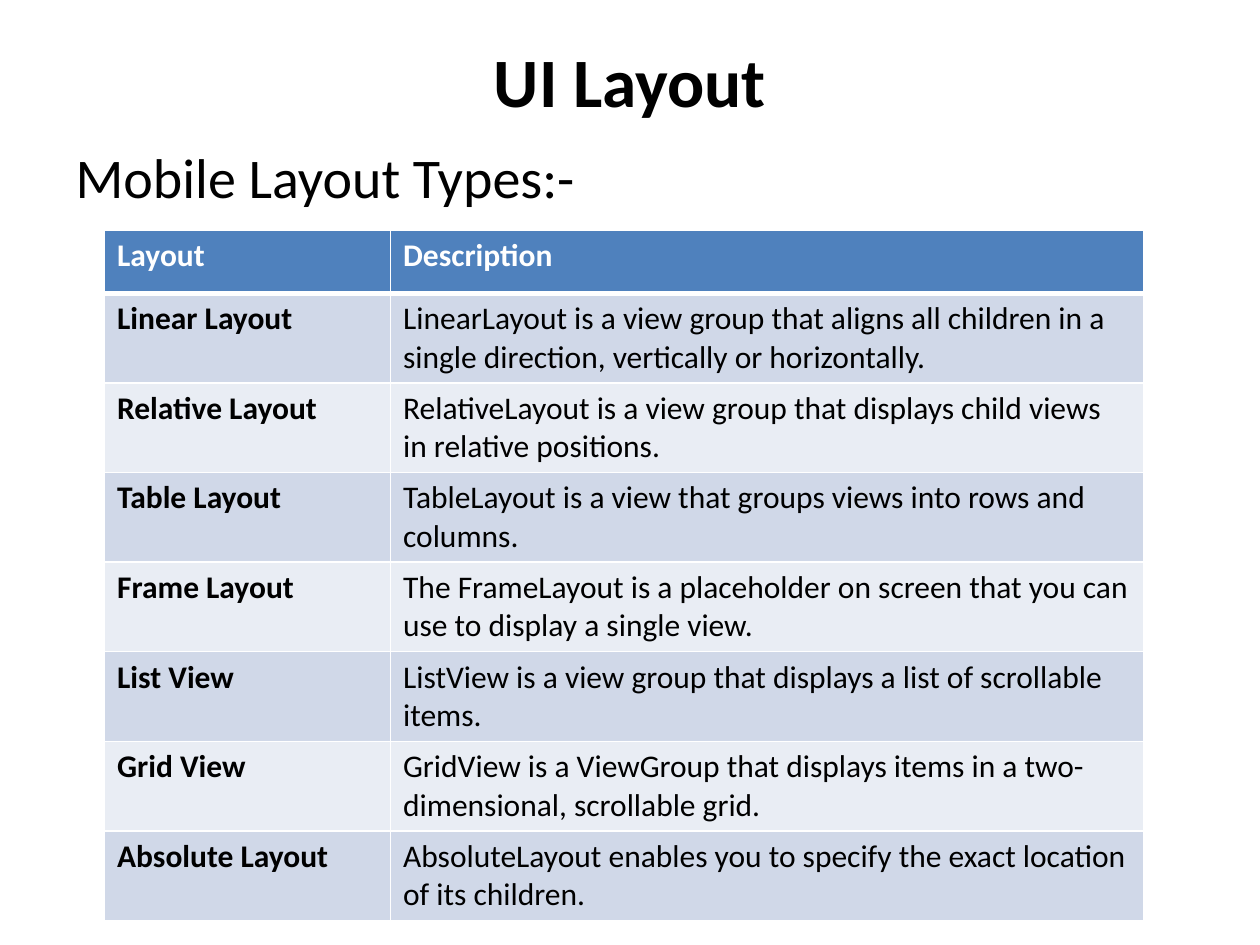
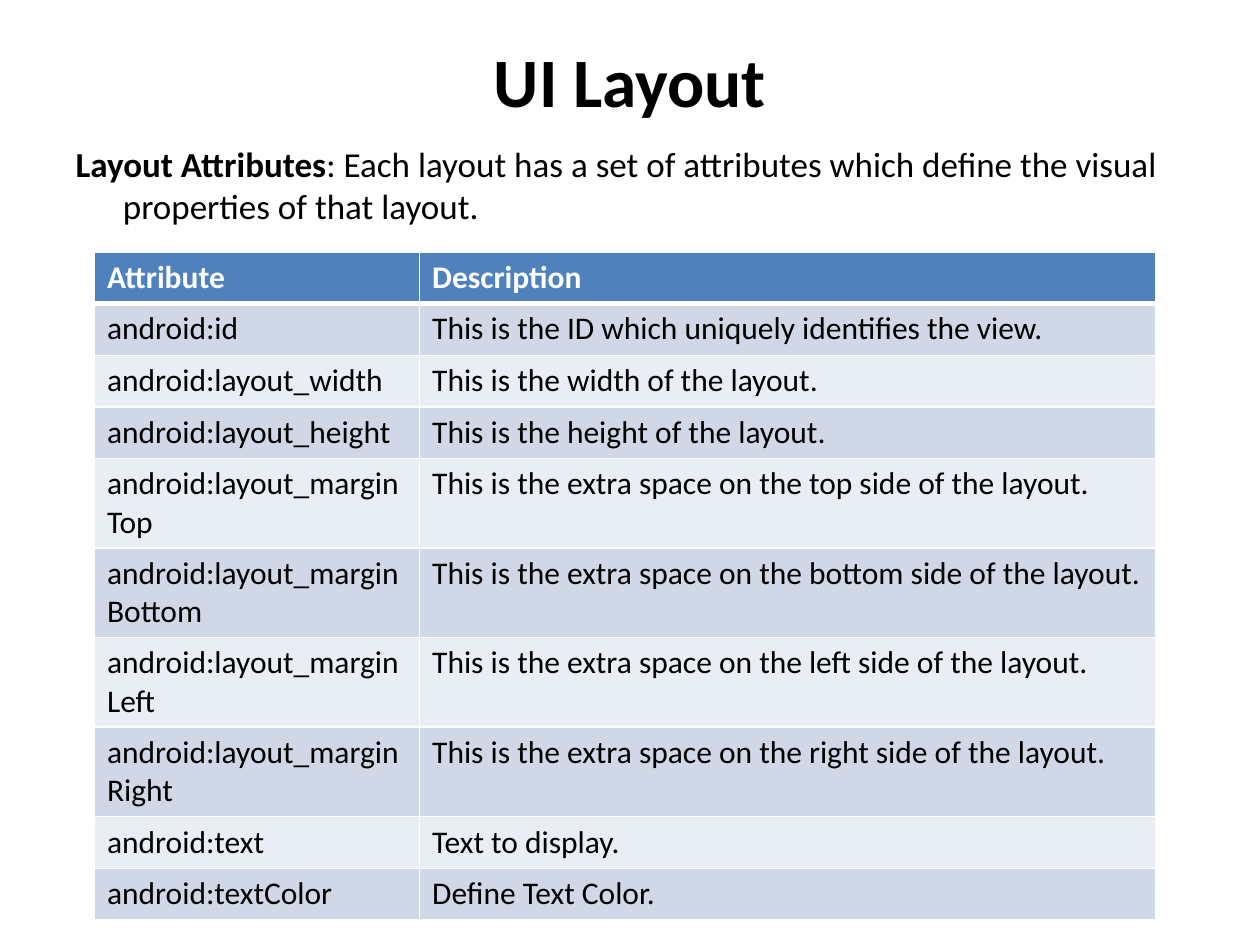
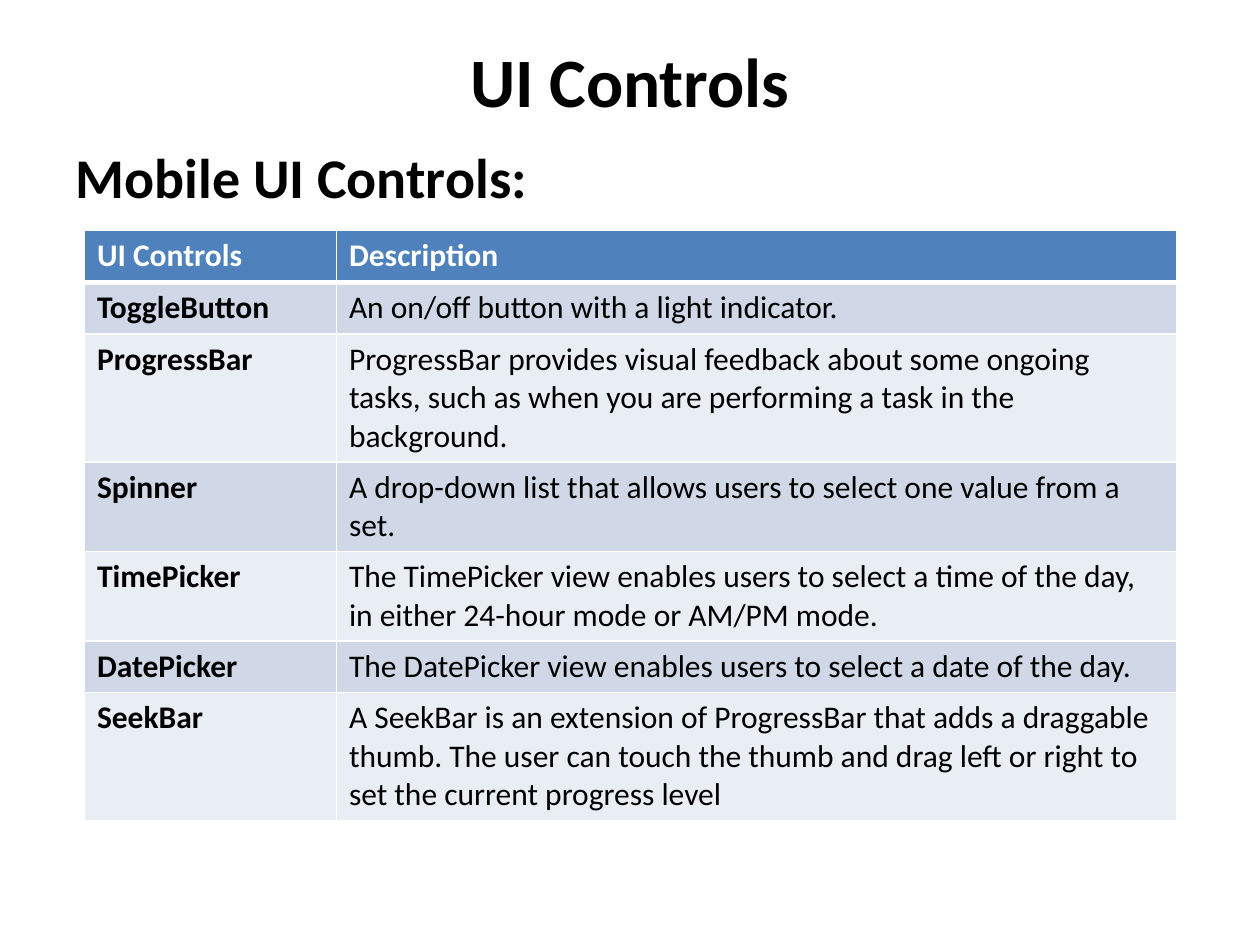
from dataclasses import dataclass

from lxml import etree
from pptx import Presentation
from pptx.dml.color import RGBColor
from pptx.enum.text import MSO_ANCHOR, MSO_AUTO_SIZE, PP_ALIGN
from pptx.oxml.ns import qn
from pptx.util import Inches, Pt


@dataclass(frozen=True)
class Theme:
    font: str = "Calibri"
    text: str = "000000"
    white: str = "FFFFFF"
    header: str = "4F81BD"
    bands: tuple = ("D0D8E8", "E9EDF4")
    title_size: float = 39.6
    heading_size: float = 32
    intro_size: float = 20
    cell_size: float = 18
    rule: float = 1
    header_rule: float = 3


THEME = Theme()


def place(shape, box):
    shape.left, shape.top, shape.width, shape.height = (Inches(v) for v in box)


def add_run(paragraph, text, size, color=THEME.text, bold=False):
    run = paragraph.add_run()
    run.text = text
    run.font.name = THEME.font
    run.font.size = Pt(size)
    run.font.bold = bold
    run.font.color.rgb = RGBColor.from_string(color)


def set_borders(cell, bottom):
    """White rules on all four sides; they must precede the cell's fill."""
    props = cell._tc.get_or_add_tcPr()
    widths = {"lnL": THEME.rule, "lnR": THEME.rule, "lnT": THEME.rule, "lnB": bottom}
    for side, width in widths.items():
        line = etree.SubElement(props, qn(f"a:{side}"), w=str(Pt(width)))
        fill = etree.SubElement(line, qn("a:solidFill"))
        etree.SubElement(fill, qn("a:srgbClr"), val=THEME.white)


def fill_title(slide, box, text):
    title = slide.shapes.title
    place(title, box)
    frame = title.text_frame
    frame.auto_size = MSO_AUTO_SIZE.NONE
    frame.vertical_anchor = MSO_ANCHOR.TOP
    frame.margin_top = 0
    paragraph = frame.paragraphs[0]
    paragraph.alignment = PP_ALIGN.CENTER
    add_run(paragraph, text, THEME.title_size, bold=True)


def fill_heading(slide, box, runs, size):
    """Lead-in above the table: runs of (text, bold) with a hanging indent."""
    body = slide.placeholders[1]
    place(body, box)
    body.text_frame.auto_size = MSO_AUTO_SIZE.NONE
    paragraph = body.text_frame.paragraphs[0]
    etree.SubElement(paragraph._p.get_or_add_pPr(), qn("a:buNone"))
    for text, bold in runs:
        add_run(paragraph, text, size, bold=bold)


def add_description_table(slide, box, name_width, row_heights, rows, bold_names):
    """Two columns, a name and its description, under a header row."""
    table = slide.shapes.add_table(len(rows), 2, *(Inches(v) for v in box)).table
    for column, width in zip(table.columns, (name_width, box[2] - name_width)):
        column.width = Inches(width)
    for r, (row, height) in enumerate(zip(rows, row_heights)):
        table.rows[r].height = Inches(height)
        is_header = r == 0
        fill = THEME.header if is_header else THEME.bands[(r - 1) % 2]
        color = THEME.white if is_header else THEME.text
        for c, text in enumerate(row):
            cell = table.cell(r, c)
            set_borders(cell, THEME.header_rule if is_header else THEME.rule)
            cell.fill.solid()
            cell.fill.fore_color.rgb = RGBColor.from_string(fill)
            bold = is_header or (bold_names and c == 0)
            add_run(cell.text_frame.paragraphs[0], text, THEME.cell_size, color, bold)


def add_table_slide(prs, title, heading, heading_size, table_box, name_width,
                    rows, row_heights=None, bold_names=True, body_height=5.62):
    slide = prs.slides.add_slide(prs.slide_layouts[1])
    fill_title(slide, (0.5, 0.3, 9, 1.25), title)
    fill_heading(slide, (0.5, 1.08, 9, body_height), heading, heading_size)
    add_description_table(slide, table_box, name_width,
                          row_heights or [0.41] * len(rows), rows, bold_names)


LAYOUT_TYPES = [
    ("Layout", "Description"),
    ("Linear Layout", "LinearLayout is a view group that aligns all children in a "
                      "single direction, vertically or horizontally."),
    ("Relative Layout", "RelativeLayout is a view group that displays child views "
                        "in relative positions."),
    ("Table Layout", "TableLayout is a view that groups views into rows and columns."),
    ("Frame Layout", "The FrameLayout is a placeholder on screen that you can use "
                     "to display a single view."),
    ("List View", "ListView is a view group that displays a list of scrollable items."),
    ("Grid View", "GridView is a ViewGroup that displays items in a "
                  "two-dimensional, scrollable grid."),
    ("Absolute Layout", "AbsoluteLayout enables you to specify the exact location "
                        "of its children."),
]

LAYOUT_ATTRIBUTES = [
    ("Attribute", "Description"),
    ("android:id", "This is the ID which uniquely identifies the view."),
    ("android:layout_width", "This is the width of the layout."),
    ("android:layout_height", "This is the height of the layout."),
    *((f"android:layout_margin{side}",
       f"This is the extra space on the {side.lower()} side of the layout.")
      for side in ("Top", "Bottom", "Left", "Right")),
    ("android:text", "Text to display."),
    ("android:textColor", "Define Text Color."),
]

UI_CONTROLS = [
    ("UI Controls", "Description"),
    ("ToggleButton", "An on/off button with a light indicator."),
    ("ProgressBar", "ProgressBar provides visual feedback about some ongoing tasks, "
                    "such as when you are performing a task in the background."),
    ("Spinner", "A drop-down list that allows users to select one value from a set."),
    ("TimePicker", "The TimePicker view enables users to select a time of the day, "
                   "in either 24-hour mode or AM/PM mode."),
    ("DatePicker", "The DatePicker view enables users to select a date of the day."),
    ("SeekBar", "A SeekBar is an extension of ProgressBar that adds a draggable "
                "thumb. The user can touch the thumb and drag left or right to set "
                "the current progress level"),
]

prs = Presentation()
prs.slide_width, prs.slide_height = Inches(10), Inches(7.5)

# Layout types
add_table_slide(prs, "UI Layout", [("Mobile Layout Types:-", False)],
                THEME.heading_size, (0.83, 1.83, 8.25, 5.4), 2.27, LAYOUT_TYPES,
                row_heights=[0.5, 0.5, 0.58, 0.58, 0.42, 0.5, 0.42, 0.67])

# Layout attributes
add_table_slide(prs, "UI Layout",
                [("Layout Attributes", True),
                 (": Each layout has a set of attributes which define the visual "
                  "properties of that layout.", False)],
                THEME.intro_size, (0.75, 2, 8.42, 5.23), 2.58, LAYOUT_ATTRIBUTES,
                bold_names=False, body_height=6.08)

# UI controls
add_table_slide(prs, "UI Controls", [("Mobile UI Controls:", True)],
                THEME.heading_size, (0.67, 1.83, 8.67, 4.62), 2, UI_CONTROLS)

prs.save("out.pptx")
